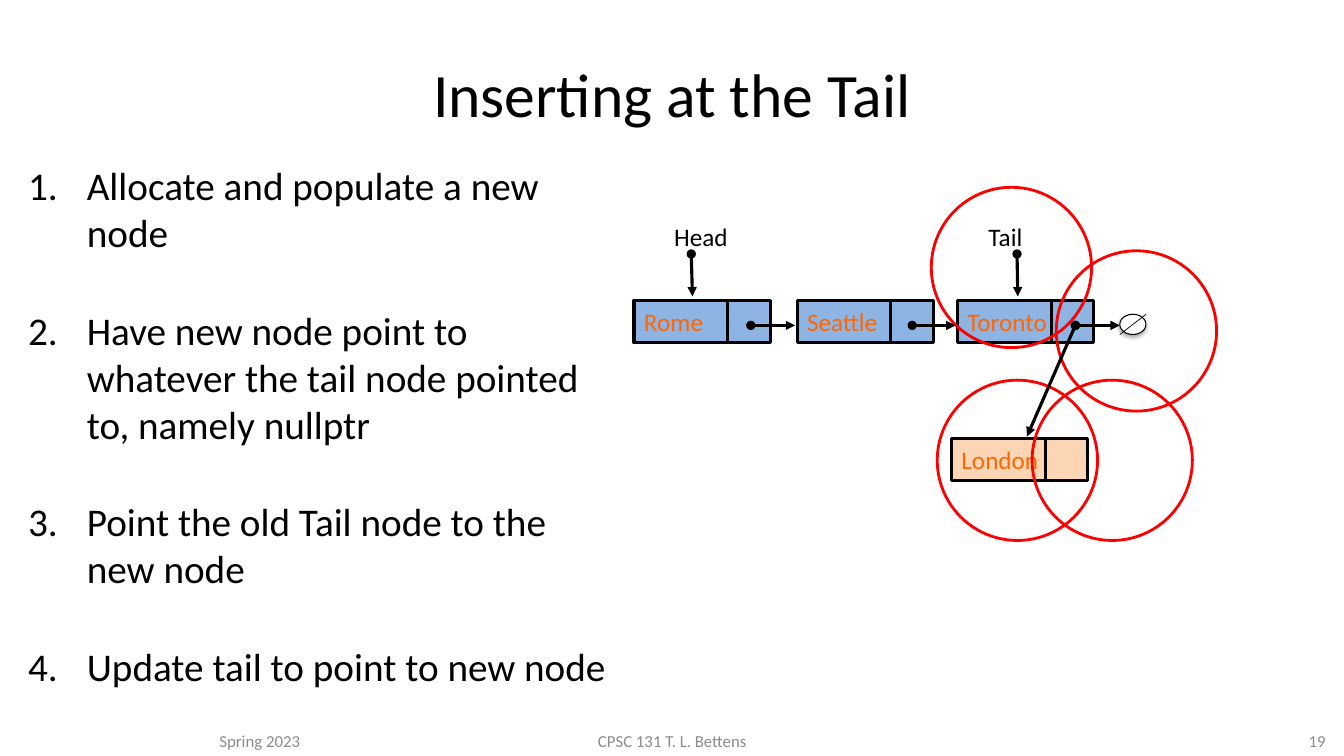
"""Build the slide that explains inserting a node at the tail of a linked list."""
from dataclasses import dataclass

from lxml.etree import SubElement
from pptx import Presentation
from pptx.dml.color import RGBColor as Rgb
from pptx.enum.shapes import MSO_CONNECTOR as Link, MSO_SHAPE as Shape
from pptx.enum.text import MSO_ANCHOR as Anchor, PP_ALIGN as Align
from pptx.oxml.ns import qn
from pptx.util import Cm, Pt


@dataclass(frozen=True)
class Theme:
    font: str = "Calibri"
    ink: Rgb = Rgb(0, 0, 0)
    paper: Rgb = Rgb(255, 255, 255)
    muted: Rgb = Rgb(0x8C, 0x8C, 0x8C)
    value: Rgb = Rgb(0xFF, 0x66, 0x00)
    highlight: Rgb = Rgb(0xFF, 0, 0)
    listed: Rgb = Rgb(0x8E, 0xB4, 0xE3)
    fresh: Rgb = Rgb(0xFC, 0xD5, 0xB5)
    title_size: int = 44
    step_size: int = 28
    node_size: int = 18
    footer_size: int = 12


theme = Theme()
deck = Presentation()
deck.slide_width, deck.slide_height = Cm(33.87), Cm(19.05)
slide = deck.slides.add_slide(deck.slide_layouts[6])


def write(frame, lines, size, color, align=Align.LEFT, anchor=Anchor.TOP, wrap=True):
    frame.word_wrap, frame.vertical_anchor = wrap, anchor
    for index, line in enumerate(lines):
        paragraph = frame.add_paragraph() if index else frame.paragraphs[0]
        paragraph.alignment = align
        run = paragraph.add_run()
        run.text = line
        run.font.name, run.font.size = theme.font, Pt(size)
        run.font.color.rgb = color


def outline(kind, left, top, width, height, fill, line, weight):
    shape = slide.shapes.add_shape(kind, Cm(left), Cm(top), Cm(width), Cm(height))
    shape.shadow.inherit = False
    if fill is None:
        shape.fill.background()
    else:
        shape.fill.solid()
        shape.fill.fore_color.rgb = fill
    shape.line.color.rgb, shape.line.width = line, Pt(weight)
    return shape


title = slide.shapes.add_textbox(Cm(0.43), Cm(0.76), Cm(33.02), Cm(3.18))
write(title.text_frame, ["Inserting at the Tail"], theme.title_size, theme.ink,
      Align.CENTER, Anchor.MIDDLE)

steps = slide.shapes.add_textbox(Cm(0.46), Cm(3.94), Cm(15.1), Cm(13.41)).text_frame
write(steps, [
    "Allocate and populate a new node",
    "Have new node point to whatever the tail node pointed to, namely nullptr",
    "Point the old Tail node to the new node",
    "Update tail to point to new node",
], theme.step_size, theme.ink)
for step in steps.paragraphs:
    step.space_after = Pt(36)
    properties = step._p.get_or_add_pPr()
    properties.set("marL", str(Cm(1.48)))
    properties.set("indent", str(-Cm(1.48)))
    SubElement(properties, qn("a:buFont"), typeface="+mj-lt")
    SubElement(properties, qn("a:buAutoNum"), type="arabicPeriod")

for words, left, width, align in [
    ("Spring 2023", 5.28, 5.92, Align.LEFT),
    ("CPSC 131 T. L. Bettens", 11.23, 11.43, Align.CENTER),
    ("19", 26.04, 7.62, Align.RIGHT),
]:
    footer = slide.shapes.add_textbox(Cm(left), Cm(17.65), Cm(width), Cm(1.4))
    write(footer.text_frame, [words], theme.footer_size, theme.muted, align, Anchor.BOTTOM)

data_width, cell_height = 2.36, 1.07
for city, left, top, fill in [
    ("London", 23.98, 11.05, theme.fresh),
    ("Toronto", 24.13, 7.57, theme.listed),
    ("Seattle", 20.09, 7.57, theme.listed),
    ("Rome", 15.98, 7.57, theme.listed),
]:
    data = outline(Shape.RECTANGLE, left, top, data_width, cell_height, fill, theme.ink, 2.25)
    write(data.text_frame, [city], theme.node_size, theme.value,
          anchor=Anchor.MIDDLE, wrap=False)
    outline(Shape.RECTANGLE, left + data_width, top, cell_height, cell_height,
            fill, theme.ink, 2.25)

for name, left, width in [("Head", 16.74, 1.88), ("Tail", 24.66, 1.37)]:
    label = slide.shapes.add_textbox(Cm(left), Cm(5.46), Cm(width), Cm(1.02))
    write(label.text_frame, [name], theme.node_size, theme.ink, wrap=False)

for left, top in [(23.62, 9.58), (23.47, 4.72), (26.01, 9.58), (26.62, 6.32)]:
    outline(Shape.OVAL, left, top, 4.04, 4.04, None, theme.highlight, 2)

null_ring = outline(Shape.OVAL, 28.22, 7.92, 0.66, 0.51, theme.paper, theme.ink, 0.75)
ring_effects = null_ring._element.spPr.find(qn("a:effectLst"))
ring_shadow = SubElement(ring_effects, qn("a:outerShdw"), blurRad=str(Pt(3.1)),
                         dist=str(Pt(1.8)), dir="5400000", rotWithShape="0")
shade = SubElement(ring_shadow, qn("a:srgbClr"), val=str(theme.ink))
SubElement(shade, qn("a:alpha"), val="35000")

for start_x, start_y, end_x, end_y, weight, is_pointer in [
    (28.88, 7.92, 28.22, 8.43, 0.5, False),
    (17.42, 6.4, 17.45, 7.47, 2.25, True),
    (25.63, 6.4, 25.65, 7.47, 2.25, True),
    (18.92, 8.2, 20.04, 8.2, 2.25, True),
    (22.99, 8.2, 24.08, 8.2, 2.25, True),
    (27.1, 8.2, 28.22, 8.2, 2.25, True),
    (27.1, 8.2, 25.88, 11, 2.25, True),
]:
    link = slide.shapes.add_connector(Link.STRAIGHT, Cm(start_x), Cm(start_y),
                                      Cm(end_x), Cm(end_y))
    link.line.color.rgb, link.line.width = theme.ink, Pt(weight)
    if is_pointer:
        stroke = link.line._get_or_add_ln()
        SubElement(stroke, qn("a:headEnd"), type="oval")
        SubElement(stroke, qn("a:tailEnd"), type="triangle")
    SubElement(link._element.spPr, qn("a:effectLst"))

deck.save("out.pptx")
